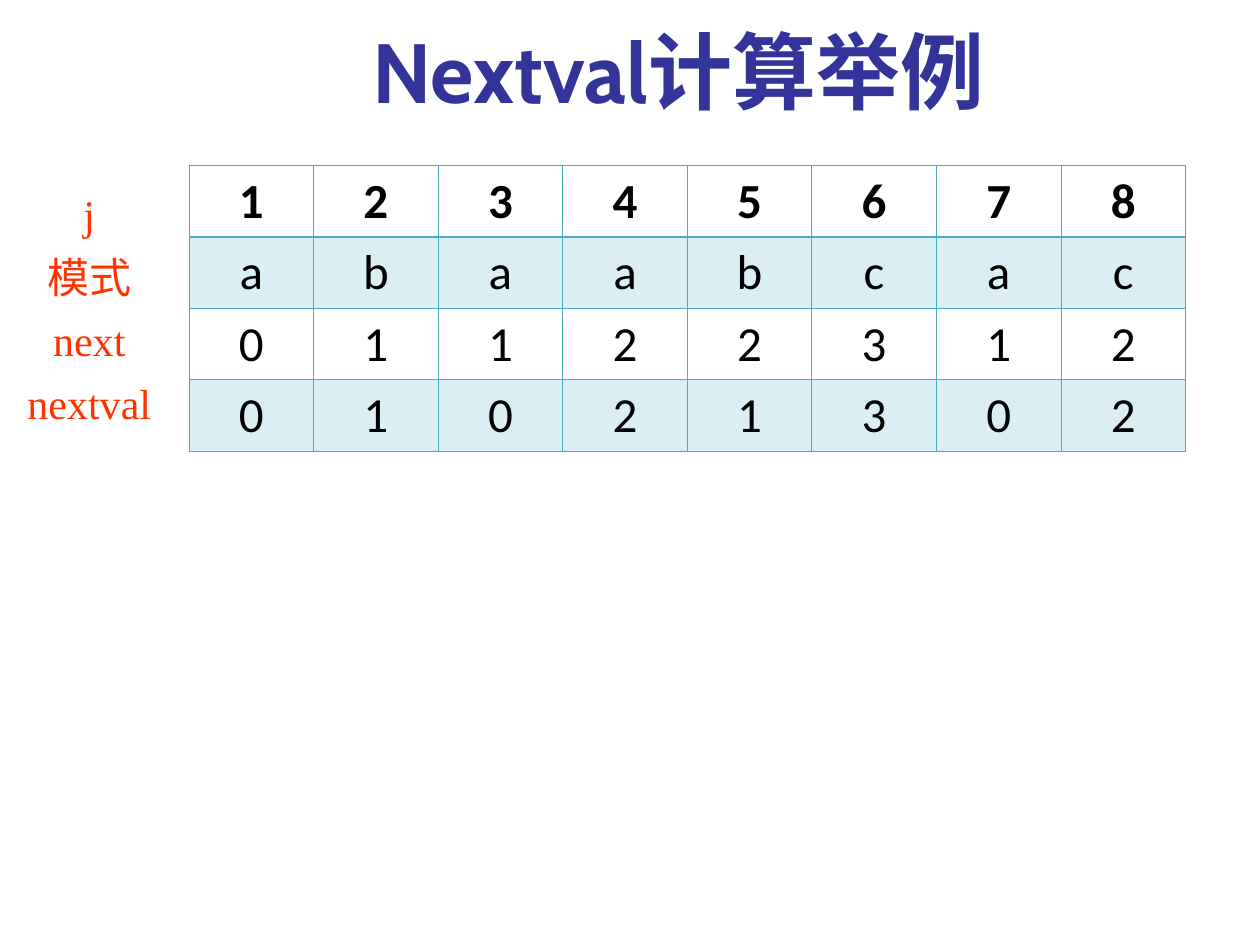
from lxml.etree import SubElement
from pptx import Presentation
from pptx.dml.color import RGBColor
from pptx.enum.text import MSO_ANCHOR, MSO_AUTO_SIZE, PP_ALIGN
from pptx.oxml.ns import qn
from pptx.util import Pt

TITLE = "Nextval计算举例"
LABELS = ["j", "模式", "next", "nextval"]
ROWS = ["12345678", "abaabcac", "01122312", "01021302"]

NAVY = RGBColor(0x33, 0x33, 0x99)
ORANGE = RGBColor(0xFF, 0x33, 0x00)
BLACK = RGBColor(0x00, 0x00, 0x00)
TEAL = RGBColor(0x4B, 0xAC, 0xC6)

TABLE_LEFT, TABLE_TOP = 108, 94.5
COLUMN_WIDTH, ROW_HEIGHT = 71.2, 40.85
THIN, THICK = 0.45, 0.96
BAND_OPACITY = 20


def add_text(paragraph, text, font_name, size, color, bold=False):
    paragraph.alignment = PP_ALIGN.CENTER
    run = paragraph.add_run()
    run.text = text
    font = run.font
    font.name, font.size, font.bold = font_name, Pt(size), bold
    font.color.rgb = color


def add_borders(cell, top, bottom):
    properties = cell._tc.get_or_add_tcPr()
    for side, width in (("L", THIN), ("R", THIN), ("T", top), ("B", bottom)):
        line = SubElement(properties, qn(f"a:ln{side}"), w=str(Pt(width)))
        fill = SubElement(line, qn("a:solidFill"))
        SubElement(fill, qn("a:srgbClr"), val=str(TEAL))


def fill_band(cell):
    cell.fill.solid()
    cell.fill.fore_color.rgb = TEAL
    color = cell._tc.tcPr.find(qn("a:solidFill")).find(qn("a:srgbClr"))
    SubElement(color, qn("a:alpha"), val=str(BAND_OPACITY * 1000))


def add_title(slide):
    frame = slide.shapes.add_textbox(Pt(77.75), Pt(15), Pt(620), Pt(54)).text_frame
    frame.word_wrap = True
    frame.vertical_anchor = MSO_ANCHOR.BOTTOM
    frame.margin_left = frame.margin_right = frame.margin_top = frame.margin_bottom = 0
    add_text(frame.paragraphs[0], TITLE, "Cabin", 48, NAVY, bold=True)


def add_labels(slide):
    frame = slide.shapes.add_textbox(Pt(8.5), Pt(97.25), Pt(85), Pt(151.25)).text_frame
    frame.word_wrap = False
    frame.auto_size = MSO_AUTO_SIZE.SHAPE_TO_FIT_TEXT
    for index, label in enumerate(LABELS):
        paragraph = frame.add_paragraph() if index else frame.paragraphs[0]
        paragraph.line_spacing = 1.25
        add_text(paragraph, label, "Times New Roman", 24, ORANGE)


def add_values(slide):
    row_count, column_count = len(ROWS), len(ROWS[0])
    table = slide.shapes.add_table(
        row_count, column_count, Pt(TABLE_LEFT), Pt(TABLE_TOP),
        Pt(COLUMN_WIDTH * column_count), Pt(ROW_HEIGHT * row_count)).table
    table.horz_banding = False
    for column in table.columns:
        column.width = Pt(COLUMN_WIDTH)
    for row_index, values in enumerate(ROWS):
        table.rows[row_index].height = Pt(ROW_HEIGHT)
        top = THICK if row_index == 1 else THIN
        bottom = THICK if row_index == 0 else THIN
        for column_index, value in enumerate(values):
            cell = table.cell(row_index, column_index)
            cell.vertical_anchor = MSO_ANCHOR.MIDDLE
            add_borders(cell, top, bottom)
            if row_index % 2:
                fill_band(cell)
            else:
                cell.fill.background()
            add_text(cell.text_frame.paragraphs[0], value, "Calibri", 28, BLACK,
                     bold=row_index == 0)


def main():
    presentation = Presentation()
    presentation.slide_width, presentation.slide_height = Pt(720), Pt(540)
    slide = presentation.slides.add_slide(presentation.slide_layouts[6])
    add_title(slide)
    add_labels(slide)
    add_values(slide)
    presentation.save("out.pptx")


if __name__ == "__main__":
    main()
